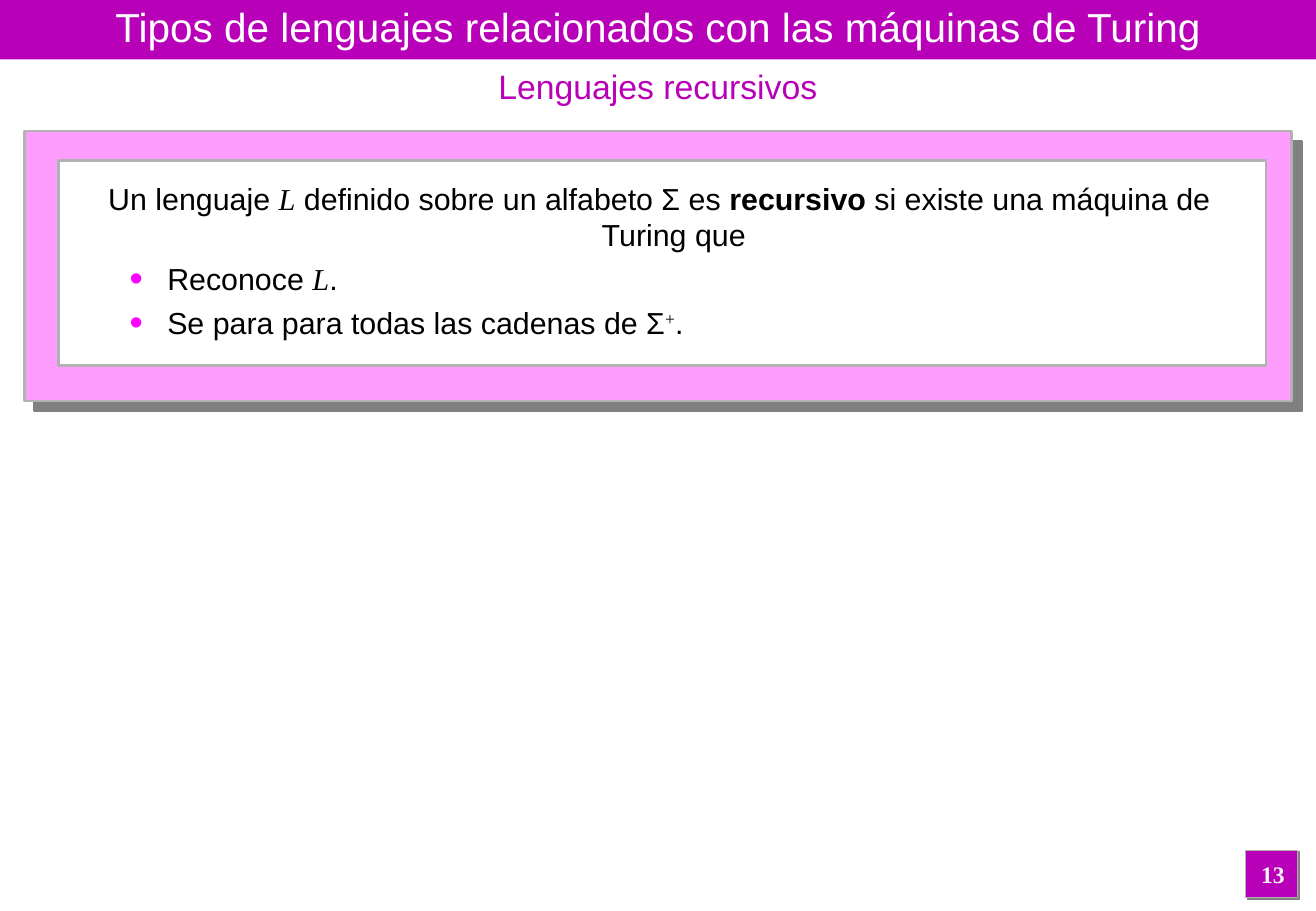
from lxml import etree
from pptx import Presentation
from pptx.dml.color import RGBColor
from pptx.enum.shapes import MSO_SHAPE
from pptx.enum.text import MSO_ANCHOR, MSO_AUTO_SIZE, PP_ALIGN
from pptx.oxml.ns import qn
from pptx.util import Inches, Pt

RECT = MSO_SHAPE.RECTANGLE
TOP, MIDDLE = MSO_ANCHOR.TOP, MSO_ANCHOR.MIDDLE
FIXED = MSO_AUTO_SIZE.NONE
CENTER, LEFT = PP_ALIGN.CENTER, PP_ALIGN.LEFT

PURPLE = RGBColor(0xB9, 0x00, 0xB9)
PINK = RGBColor(0xFF, 0x9D, 0xFF)
MAGENTA = RGBColor(0xFE, 0x00, 0xFE)
SILVER = RGBColor(0xB2, 0xB2, 0xB2)
GRAY = RGBColor(0x80, 0x80, 0x80)
PALE = RGBColor(0xF2, 0xF2, 0xF2)
WHITE = RGBColor(0xFF, 0xFF, 0xFF)
BLACK = RGBColor(0x00, 0x00, 0x00)

WIDTH, HEIGHT = Inches(10.84), Inches(7.5)
HANG = Inches(0.31)
INDENT = Inches(0.83)
GAP = Pt(4.5)

PLAIN = {"name": "Arial", "size": Pt(18), "bold": False, "italic": False}
BOLD = {**PLAIN, "bold": True}
MATH = {**PLAIN, "name": "Times New Roman", "italic": True}
SUPER = {**MATH, "italic": False}
HEAD = {**PLAIN, "size": Pt(24)}
SUB = {**PLAIN, "size": Pt(20)}
NUMBER = {**BOLD, "name": "Times New Roman", "size": Pt(14)}

LEAD = [
    ("Un lenguaje ", PLAIN),
    ("L", MATH),
    (" definido sobre un alfabeto Σ es ", PLAIN),
    ("recursivo ", BOLD),
    ("si existe una máquina de Turing que ", PLAIN),
]
ITEMS = [
    [("Reconoce ", PLAIN), ("L", MATH), (".", PLAIN)],
    [("Se para para todas las cadenas de Σ", PLAIN), ("+", SUPER), (".", PLAIN)],
]


def place(left, top, width, height):
    return (
        int(WIDTH * left / 100),
        int(HEIGHT * top / 100),
        int(WIDTH * width / 100),
        int(HEIGHT * height / 100),
    )


def add_node(parent, tag, **values):
    node = etree.SubElement(parent, qn(tag))
    for key, value in values.items():
        node.set(key, str(value))
    return node


def add_shade(shape, reach):
    effects = add_node(shape._element.spPr, "a:effectLst")
    shade = add_node(effects, "a:outerShdw", dist=Pt(reach), dir=45 * 60000,
                     algn="ctr", rotWithShape=0)
    add_node(shade, "a:srgbClr", val=GRAY)


def add_rect(slide, area, fill, border=0, reach=0):
    rect = slide.shapes.add_shape(RECT, *place(*area))
    rect.fill.solid()
    rect.fill.fore_color.rgb = fill
    if border:
        rect.line.color.rgb = SILVER
        rect.line.width = Pt(border)
    else:
        rect.line.fill.background()
    if reach:
        add_shade(rect, reach)
    else:
        rect.shadow.inherit = False


def write(para, parts, color, align):
    para.alignment = align
    for text, style in parts:
        run = para.add_run()
        run.text = text
        for key, value in style.items():
            setattr(run.font, key, value)
        run.font.color.rgb = color
        if style is SUPER:
            run._r.get_or_add_rPr().set("baseline", "30000")


def set_frame(shape, anchor=TOP):
    frame = shape.text_frame
    values = {
        "word_wrap": True,
        "auto_size": FIXED,
        "vertical_anchor": anchor,
        "margin_left": Inches(0.1),
        "margin_right": Inches(0.1),
        "margin_top": Inches(0.05),
        "margin_bottom": Inches(0.05),
    }
    for key, value in values.items():
        setattr(frame, key, value)
    return frame


def add_text(slide, area, parts, color):
    box = slide.shapes.add_textbox(*place(*area))
    frame = set_frame(box)
    write(frame.paragraphs[0], parts, color, CENTER)
    return frame


def set_title(slide, area, text):
    title = slide.shapes.title
    title._element.getparent().append(title._element)
    title.left, title.top, title.width, title.height = place(*area)
    frame = set_frame(title, MIDDLE)
    write(frame.paragraphs[0], [(text, HEAD)], WHITE, CENTER)


def hang(para, left):
    props = para._p.get_or_add_pPr()
    props.set("marL", str(left))
    props.set("indent", str(-HANG))
    return props


def add_item(frame, parts):
    para = frame.add_paragraph()
    para.level = 1
    para.space_before = GAP
    props = hang(para, INDENT)
    color = add_node(props, "a:buClr")
    add_node(color, "a:srgbClr", val=MAGENTA)
    add_node(props, "a:buSzPct", val=125000)
    add_node(props, "a:buFont", typeface="Arial")
    add_node(props, "a:buChar", char="•")
    write(para, parts, BLACK, LEFT)


def main():
    deck = Presentation()
    deck.slide_width, deck.slide_height = WIDTH, HEIGHT
    slide = deck.slides.add_slide(deck.slide_layouts[5])

    add_rect(slide, (94.65, 93.33, 3.97, 5.2), PURPLE, 0.75, 1.4)
    add_rect(slide, (0, 0, 100, 6.53), PURPLE)
    add_rect(slide, (1.85, 14.4, 96.31, 29.6), PINK, 1.5, 8.5)
    add_rect(slide, (4.43, 17.6, 91.79, 22.53), WHITE, 1.5)

    set_title(slide, (0, 0, 100, 5.87),
              "Tipos de lenguajes relacionados con las máquinas de Turing")
    add_text(slide, (0, 6.53, 100, 5.87), [("Lenguajes recursivos", SUB)], PURPLE)

    body = add_text(slide, (4.15, 19.07, 91.88, 20.67), LEAD, BLACK)
    hang(body.paragraphs[0], HANG)
    for parts in ITEMS:
        add_item(body, parts)

    add_text(slide, (94.28, 93.73, 4.89, 4.67), [("13", NUMBER)], PALE)
    deck.save("out.pptx")


if __name__ == "__main__":
    main()
